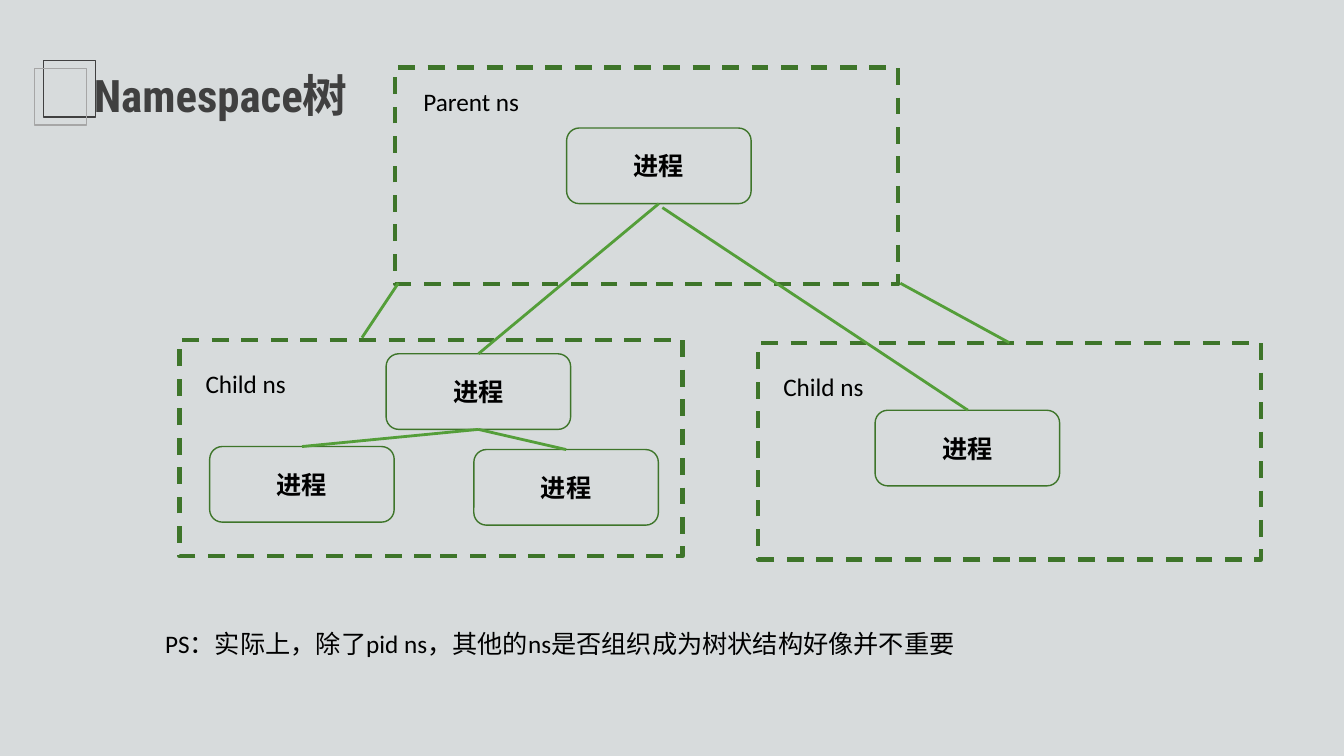
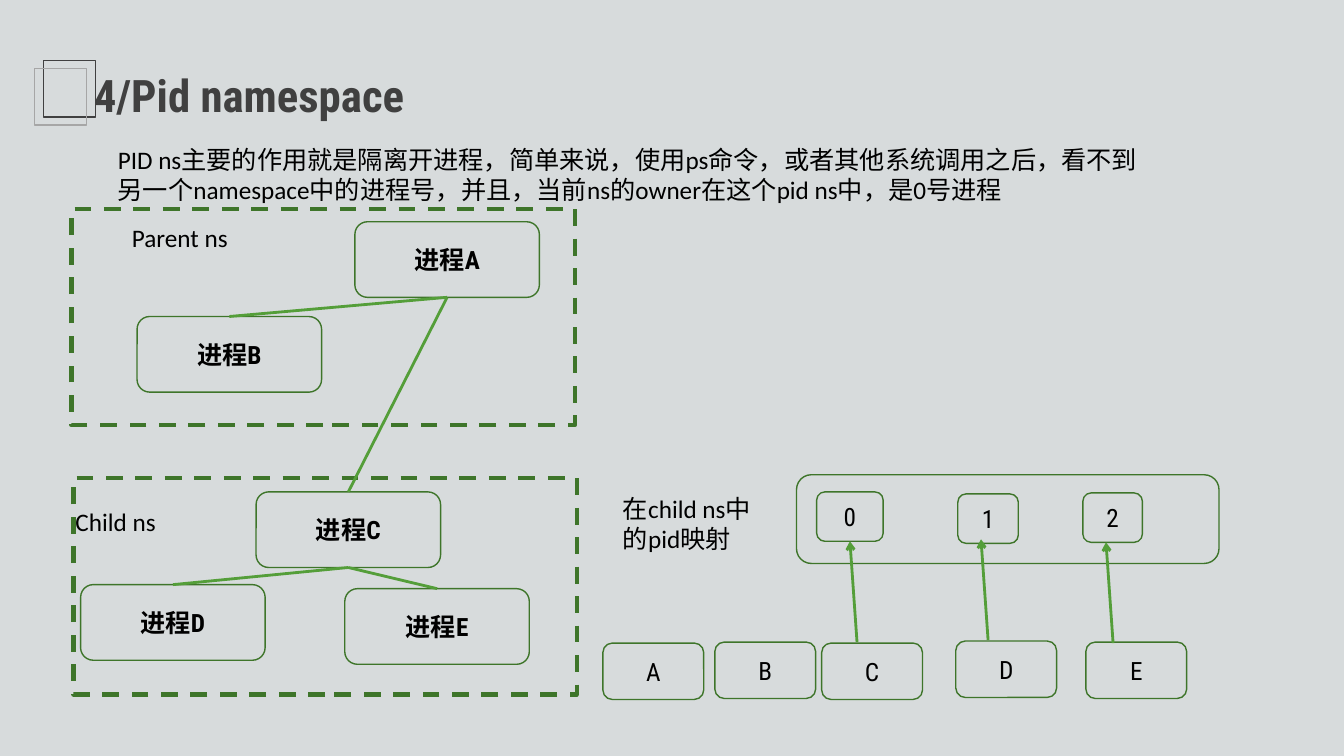
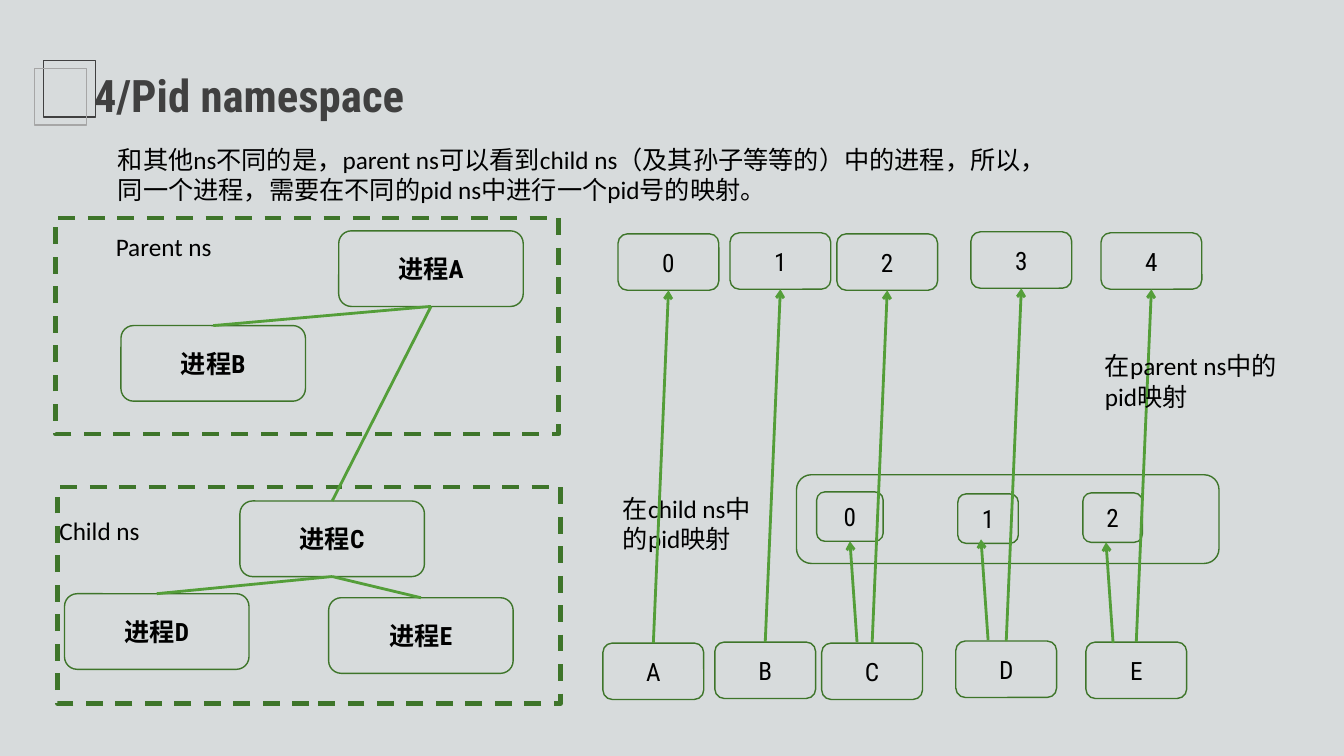
from pptx import Presentation
from pptx.dml.color import RGBColor
from pptx.enum.dml import MSO_LINE
from pptx.enum.shapes import MSO_CONNECTOR, MSO_SHAPE
from pptx.enum.text import MSO_ANCHOR, MSO_AUTO_SIZE, PP_ALIGN
from pptx.oxml.ns import qn
from pptx.util import Inches, Pt
from lxml.etree import SubElement

COLORS = {
    "back": "D7DBDC",
    "title": "404040",
    "faint": "A6A6A6",
    "edge": "3E752A",
    "link": "549E39",
    "text": "000000",
}
HEAD_FONT = "Roboto Condensed"
BODY_FONT = "Calibri"
BOTTOM, TOP = 2, 0
PID_PLACES = [(5.98, 6.38), (7.09, 6.37), (8.15, 6.38), (9.48, 6.36), (10.77, 6.37)]


def color(name):
    return RGBColor.from_string(COLORS[name])


class Board:
    def __init__(self):
        self.deck = Presentation()
        self.deck.slide_width = Inches(13.33)
        self.deck.slide_height = Inches(7.5)
        fill = self.deck.slide_master.background.fill
        fill.solid()
        fill.fore_color.rgb = color("back")

    def page(self, title):
        self.slide = self.deck.slides.add_slide(self.deck.slide_layouts[5])
        self.shape(0.43, 0.6, 0.52, 0.56, MSO_SHAPE.RECTANGLE, "title")
        self.shape(0.34, 0.68, 0.52, 0.56, MSO_SHAPE.RECTANGLE, "faint")
        box = self.slide.shapes.title
        box.left, box.top = Inches(0.83), Inches(0.62)
        box.width, box.height = Inches(6.76), Inches(0.64)
        self.put_text(box, title, HEAD_FONT, 32, True, "title")
        box.text_frame.auto_size = MSO_AUTO_SIZE.NONE

    def put_text(self, box, text, font, size=18, bold=False, ink="text",
                 align=PP_ALIGN.LEFT, anchor=MSO_ANCHOR.MIDDLE):
        frame = box.text_frame
        frame.word_wrap = True
        frame.vertical_anchor = anchor
        para = frame.paragraphs[0]
        para.alignment = align
        span = para.add_run()
        span.text = text
        span.font.name = font
        span.font.size = Pt(size)
        span.font.bold = bold
        span.font.color.rgb = color(ink)

    def shape(self, left, top, width, height, kind, edge="edge", weight=1):
        box = self.slide.shapes.add_shape(
            kind, Inches(left), Inches(top), Inches(width), Inches(height))
        box.shadow.inherit = False
        box.fill.background()
        box.line.color.rgb = color(edge)
        box.line.width = Pt(weight)
        return box

    def note(self, left, top, width, text, height=0.4):
        box = self.slide.shapes.add_textbox(
            Inches(left), Inches(top), Inches(width), Inches(height))
        self.put_text(box, text, BODY_FONT, anchor=MSO_ANCHOR.TOP)
        box.text_frame.auto_size = MSO_AUTO_SIZE.SHAPE_TO_FIT_TEXT

    def namespace(self, left, top):
        box = self.shape(left, top, 4.99, 2.15, MSO_SHAPE.RECTANGLE, weight=3)
        box.line.dash_style = MSO_LINE.DASH

    def node(self, left, top, width, height, text, bold=False):
        box = self.shape(left, top, width, height, MSO_SHAPE.ROUNDED_RECTANGLE)
        self.put_text(box, text, HEAD_FONT, bold=bold, align=PP_ALIGN.CENTER)
        return box

    def process(self, left, top, name=""):
        return self.node(left, top, 1.83, 0.75, "进程" + name, True)

    def line(self, x1, y1, x2, y2, arrow=False):
        link = self.slide.shapes.add_connector(
            MSO_CONNECTOR.STRAIGHT, Inches(x1), Inches(y1), Inches(x2), Inches(y2))
        link.line.color.rgb = color("link")
        link.line.width = Pt(2)
        props = link.element.spPr
        if arrow:
            SubElement(props.find(qn("a:ln")), qn("a:tailEnd"), type="arrow")
        SubElement(props, qn("a:effectLst"))
        return link

    def join(self, start, start_site, end, end_site, arrow=False):
        link = self.line(0, 0, 1, 1, arrow)
        link.begin_connect(start, start_site)
        link.end_connect(end, end_site)

    def process_tree(self, left, top):
        self.namespace(left, top)
        self.namespace(left + 0.02, top + 2.67)
        self.note(left + 0.5, top + 0.09, 1.85, "Parent ns")
        self.note(left - 0.06, top + 2.9, 1.88, "Child ns")
        places = {"A": (2.81, 0.13), "B": (0.65, 1.07), "C": (1.83, 2.81),
                  "D": (0.09, 3.73), "E": (2.71, 3.77)}
        boxes = {name: self.process(left + x, top + y, name)
                 for name, (x, y) in places.items()}
        for parent, child in ("AB", "AC", "CD", "CE"):
            self.join(boxes[parent], BOTTOM, boxes[child], TOP)

    def child_mapping(self):
        letters = [self.node(left, top, 1, 0.56, name)
                   for name, (left, top) in zip("ABCDE", PID_PLACES)]
        self.shape(7.9, 4.71, 4.19, 0.88, MSO_SHAPE.ROUNDED_RECTANGLE)
        for pid, (left, top, width) in enumerate(
                [(8.1, 4.88, 0.66), (9.5, 4.9, 0.6), (10.74, 4.89, 0.59)]):
            self.node(left, top, width, 0.49, str(pid))
        for x, y in [(8.5, 6.37), (9.8, 6.35), (11.04, 6.38)]:
            self.line(x, y, x - 0.07, y - 1, arrow=True)
        self.note(6.08, 4.84, 1.52, "在child ns中的pid映射", 0.71)
        return letters

    def parent_mapping(self, letters):
        for pid, (left, top) in enumerate(PID_PLACES):
            box = self.node(left + 0.15, top - 4.06, 1, 0.56, str(pid))
            self.join(letters[pid], TOP, box, BOTTOM, arrow=True)
        self.note(10.86, 3.43, 2.22, "在parent ns中的pid映射", 0.71)


board = Board()

board.page("Namespace树")
for left, top in [(1.78, 3.37), (3.92, 0.67), (7.52, 3.4)]:
    board.namespace(left, top)
board.note(4.1, 0.81, 1.85, "Parent ns")
board.note(1.94, 3.6, 1.88, "Child ns")
board.note(7.67, 3.63, 1.88, "Child ns")
root = board.process(5.62, 1.27)
branch = board.process(3.83, 3.51)
right_leaf = board.process(4.7, 4.46)
board.process(8.68, 4.07)
left_leaf = board.process(2.08, 4.43)
board.note(1.54, 6.18, 10.07, "PS：实际上，除了pid ns，其他的ns是否组织成为树状结构好像并不重要")
for parent, child in [(root, branch), (branch, left_leaf), (branch, right_leaf)]:
    board.join(parent, BOTTOM, child, TOP)
board.line(6.57, 2.06, 9.6, 4.07)
board.line(3.95, 2.81, 3.59, 3.35)
board.line(8.93, 2.81, 10.01, 3.4)

board.page("4/Pid namespace")
board.process_tree(0.71, 2.07)
board.note(1.07, 1.38, 10.44,
           "PID ns主要的作用就是隔离开进程，简单来说，使用ps命令，或者其他系统调用之后，"
           "看不到另一个namespace中的进程号，并且，当前ns的owner在这个pid ns中，是0号进程", 0.71)
board.child_mapping()

board.page("4/Pid namespace")
board.process_tree(0.55, 2.16)
board.note(1.07, 1.38, 9.45,
           "和其他ns不同的是，parent ns可以看到child ns（及其孙子等等的）中的进程，"
           "所以，同一个进程，需要在不同的pid ns中进行一个pid号的映射。", 0.71)
board.parent_mapping(board.child_mapping())

board.deck.save("out.pptx")
